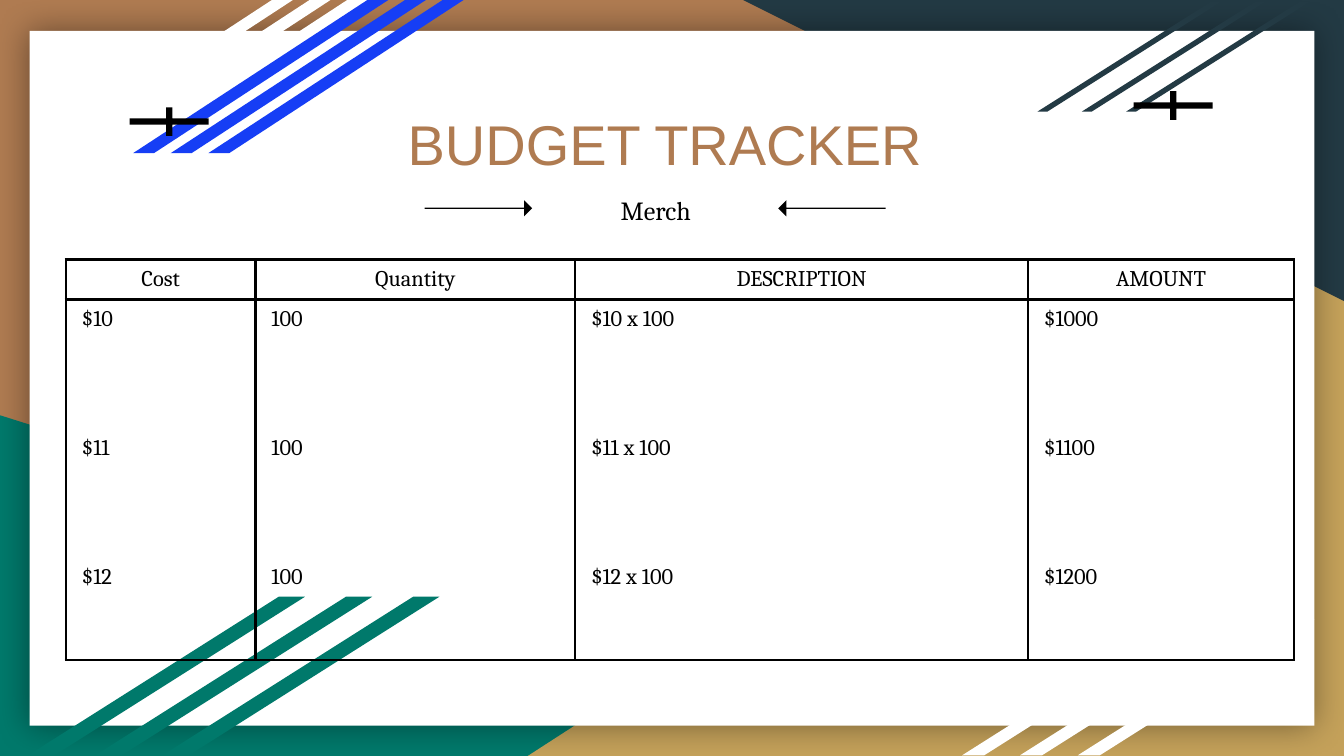
from lxml import etree
from pptx import Presentation
from pptx.dml.color import RGBColor
from pptx.enum.shapes import MSO_SHAPE as Preset
from pptx.enum.text import MSO_ANCHOR as Anchor, MSO_AUTO_SIZE as AutoSize, PP_ALIGN as Align
from pptx.oxml import parse_xml
from pptx.oxml.ns import nsdecls, qn
from pptx.util import Inches, Pt

COLORS = {
    "brown": "AF7B51", "teal": "00796B", "gold": "C4A15A", "navy": "233A44",
    "blue": "163EF5", "white": "FFFFFF", "black": "000000",
}

# Widescreen 16:9 page
deck = Presentation()
deck.slide_width, deck.slide_height = Inches(10), Inches(10 * 9 / 16)
page = deck.slides.add_slide(deck.slide_layouts[5])
page.background.fill.solid()
page.background.fill.fore_color.rgb = RGBColor.from_string(COLORS["brown"])


def add_shape(preset, left, top, width, height, color, adjustments=(), rotation=0):
    shape = page.shapes.add_shape(preset, Inches(left), Inches(top), Inches(width), Inches(height))
    shape.shadow.inherit = False
    shape.fill.solid()
    shape.fill.fore_color.rgb = RGBColor.from_string(COLORS[color])
    shape.line.fill.background()
    shape.rotation = rotation
    for index, value in enumerate(adjustments):
        shape.adjustments[index] = value
    return shape


def write(para, text, size, font, color, align):
    para.text = text
    para.alignment = align
    para.font.size = Pt(size)
    para.font.name = font
    para.font.color.rgb = RGBColor.from_string(COLORS[color])


# Corner triangles
add_shape(Preset.RIGHT_TRIANGLE, 0, 3.09, 8.06, 2.54, "teal")
gold_corner = add_shape(Preset.RIGHT_TRIANGLE, 3.92, 1.7, 6.08, 3.93, "gold")
gold_corner._element.spPr.find(qn("a:xfrm")).set("flipH", "1")
add_shape(Preset.RIGHT_TRIANGLE, 5.53, 0, 4.47, 2.24, "navy", rotation=180)

# White sheet with a soft shadow
sheet = add_shape(Preset.RECTANGLE, 0.22, 0.23, 9.56, 5.17, "white")
effects = sheet._element.spPr.find(qn("a:effectLst"))
effects.append(parse_xml(
    f'<a:outerShdw {nsdecls("a")} blurRad="{Pt(18)}" dist="0" dir="0" algn="ctr" rotWithShape="0">'
    f'<a:srgbClr val="{COLORS["black"]}"><a:alpha val="40000"/></a:srgbClr></a:outerShdw>'))

# Groups of three diagonal stripes, rightmost first
STRIPES = [  # left of the rightmost, top, width, height, step, slant, color
    (0.84, 0, 1.9, 1.14, 0.28, 1.53, "white"),
    (1.55, 0, 1.9, 1.14, 0.28, 1.53, "blue"),
    (8.38, 0.01, 1.37, 0.82, 0.33, 1.58, "navy"),
    (8.02, 4.61, 1.76, 1.01, 0.43, 1.58, "white"),
    (1.21, 4.44, 2.06, 1.18, 0.5, 1.58, "teal"),
]
for left, top, width, height, step, slant, color in STRIPES:
    for number in range(3):
        add_shape(Preset.PARALLELOGRAM, left - number * step, top, width, height, color, [slant])

# Title, brought in front of the sheet
title = page.shapes.title
page.shapes._spTree.append(title._element)
title.left, title.top, title.width, title.height = map(Inches, (0.87, 0.64, 8.27, 0.71))
subtitle = page.shapes.add_textbox(Inches(3.75), Inches(1.35), Inches(2.26), Inches(0.67))
for box in (title, subtitle):
    frame = box.text_frame
    frame.word_wrap = True
    frame.auto_size = AutoSize.NONE
    frame.vertical_anchor = Anchor.TOP
    frame.margin_left = frame.margin_right = frame.margin_top = frame.margin_bottom = Inches(0.1)
write(title.text_frame.paragraphs[0], "BUDGET TRACKER ", 30, "Arial", "brown", Align.CENTER)
title.text_frame.paragraphs[0].line_spacing = 1.15
write(subtitle.text_frame.paragraphs[0], "Merch", 14, "Cambria", "black", Align.CENTER)

# Plus signs, and arrows pointing at the subtitle
for left, top in [(8.33, 0.64), (0.86, 0.76)]:
    add_shape(Preset.MATH_PLUS, left, top, 0.8, 0.29, "black", [0.16])
for left, rotation in [(3.16, 0), (5.79, 180)]:
    add_shape(Preset.RIGHT_ARROW, left, 1.49, 0.8, 0.12, "black", [0.08, 0.5], rotation)

# Budget table: one header row and one tall row with an entry per item
COLUMNS = [
    ("Cost", 1.41, ["$10", "$11", "$12"]),
    ("Quantity", 2.38, ["100", "100", "100"]),
    ("DESCRIPTION", 3.37, ["$10 x 100", "$11 x 100", "$12 x 100"]),
    ("AMOUNT", 1.98, ["$1000", "$1100", "$1200"]),
]
table = page.shapes.add_table(2, 4, Inches(0.49), Inches(1.93), Inches(9.14), Inches(2.98)).table
table.first_row = table.horz_banding = False
table.rows[0].height, table.rows[1].height = Inches(0.3), Inches(2.68)
for index, (heading, width, entries) in enumerate(COLUMNS):
    table.columns[index].width = Inches(width)
    header, body = table.cell(0, index), table.cell(1, index)
    header.vertical_anchor = Anchor.MIDDLE
    write(header.text_frame.paragraphs[0], heading, 12, "Cambria", "black", Align.CENTER)
    for number, entry in enumerate(entries):
        frame = body.text_frame
        para = frame.add_paragraph() if number else frame.paragraphs[0]
        write(para, entry, 12, "Cambria", "black", Align.LEFT)
        if number:
            para.space_before = Pt(55.3)
    for cell in (header, body):
        cell.margin_left = cell.margin_right = Inches(0.12)
        cell.margin_top = cell.margin_bottom = Inches(0.05)
        properties = cell._tc.get_or_add_tcPr()
        for side in ("lnL", "lnR", "lnT", "lnB"):
            border = etree.SubElement(properties, qn(f"a:{side}"), w=str(Pt(1.5)))
            fill = etree.SubElement(border, qn("a:solidFill"))
            etree.SubElement(fill, qn("a:srgbClr"), val=COLORS["black"])
        cell.fill.background()

deck.save("out.pptx")
